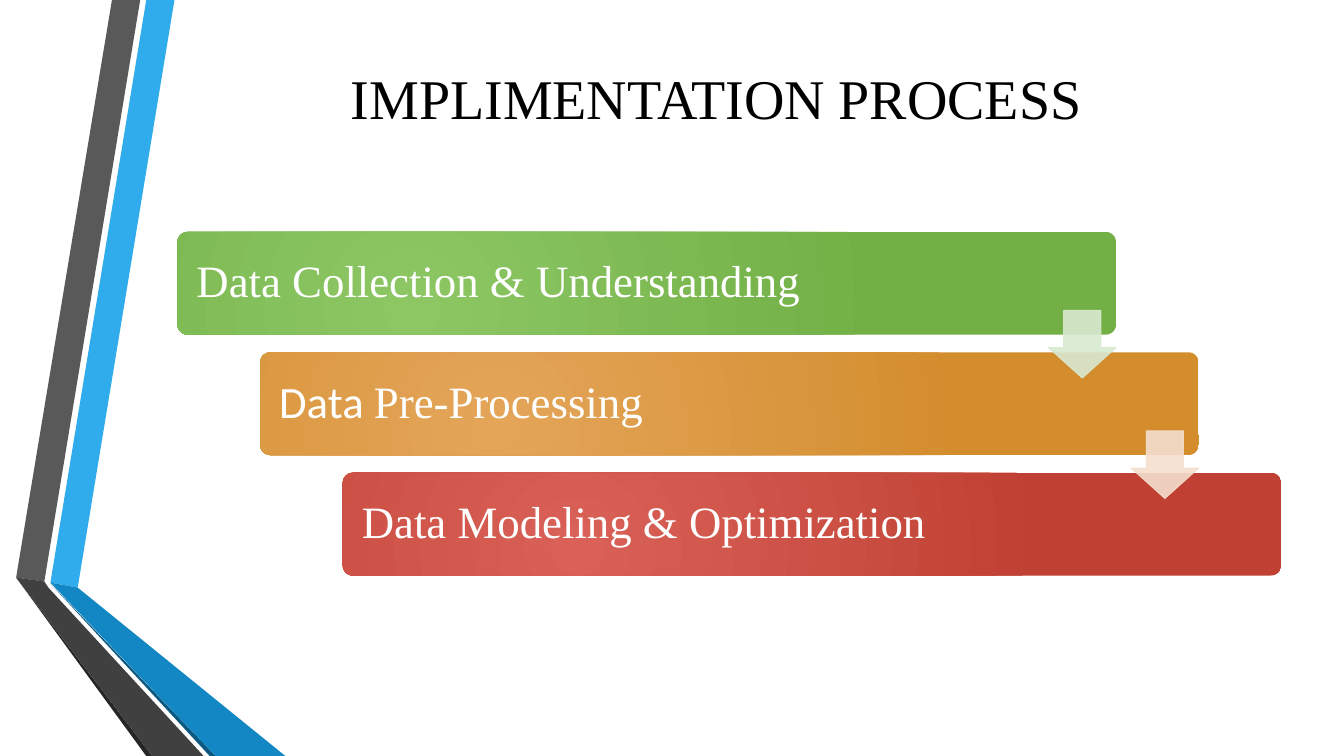
from typing import NamedTuple

from lxml import etree
from pptx import Presentation, util as u
from pptx.dml.color import RGBColor
from pptx.enum import shapes, text
from pptx.oxml.ns import qn

COLORS = {
    "black": "000000", "white": "FFFFFF",
    "blue": "30ACEC", "blue_fold": "1287C3", "blue_edge": "0C5A82",
    "grey": "595959", "grey_fold": "404040", "grey_edge": "262626",
    "green_light": "8CC764", "green": "72AF45", "green_pale": "D8E9D0",
    "orange_light": "E4A559", "orange": "D38D2D", "orange_pale": "F4DFCE",
    "red_light": "D96157", "red": "C04033",
}
SERIF, SANS = "Times New Roman", "Calibri"

# All lengths are percentages of the slide's width or height
BAR_LEFT, BAR_TOP, BAR_W, BAR_H = 13.2, 30.67, 69.84, 13.6
STEP_X, STEP_Y = 6.15, 15.93
ARROW_DX, ARROW_DY, ARROW_W, ARROW_H = 64.81, 10.4, 5.03, 8.93


class Ribbon(NamedTuple):
    color: str
    points: list[tuple[float, float]]


class Step(NamedTuple):
    runs: list[tuple[str, str]]
    inner: str
    outer: str
    arrow: str | None = None


RIBBONS = [
    Ribbon("blue", [(3.75, 77.07), (5.78, 77.73), (12.98, 0), (10.88, 0)]),
    Ribbon("grey", [(10.43, 0), (8.33, 0), (1.2, 76.4), (3.3, 76.93)]),
    Ribbon("grey_edge", [(1.2, 76.4), (10.88, 100), (11.33, 100)]),
    Ribbon("blue_edge", [(3.75, 77.2), (15.6, 100), (16.05, 100)]),
    Ribbon("blue_fold", [(3.75, 77.07), (16.05, 100), (21.23, 100), (5.78, 77.73)]),
    Ribbon("grey_fold", [(15.15, 100), (3.6, 77.73), (3.3, 76.93), (1.2, 76.4),
                         (11.33, 100)]),
]
STEPS = [
    Step([("Data Collection & Understanding", SERIF)],
         "green_light", "green", "green_pale"),
    Step([("Data ", SANS), ("Pre-Processing", SERIF)],
         "orange_light", "orange", "orange_pale"),
    Step([("Data Modeling & Optimization", SERIF)], "red_light", "red"),
]

prs = Presentation()
prs.slide_width, prs.slide_height = u.Inches(13.33), u.Inches(7.5)


def x(share: float) -> int:
    return round(prs.slide_width * share / 100)


def y(share: float) -> int:
    return round(prs.slide_height * share / 100)


def rgb(name: str) -> RGBColor:
    return RGBColor.from_string(COLORS[name])


def apply(obj, **formats) -> None:
    for name, value in formats.items():
        setattr(obj, name, value)


def add_run(p, words: str, font: str, size: int, color: str) -> None:
    r = p.add_run()
    r.text = words
    apply(r.font, name=font, size=u.Pt(size))
    r.font.color.rgb = rgb(color)


def add_ribbon(s, ribbon: Ribbon) -> None:
    points = [(x(px), y(py)) for px, py in ribbon.points]
    builder = s.shapes.build_freeform(*points[0])
    builder.add_line_segments(points[1:], close=True)
    sp = builder.convert_to_shape()
    sp.shadow.inherit = False
    sp.fill.solid()
    sp.fill.fore_color.rgb = rgb(ribbon.color)
    sp.line.fill.background()


def fill_radial(sp, inner: str, outer: str) -> None:
    sp.fill.gradient()
    for stop, position, color in zip(sp.fill.gradient_stops, (0, 1), (inner, outer)):
        stop.position = position
        stop.color.rgb = rgb(color)
    grad = sp.fill._xPr.find(qn("a:gradFill"))
    grad.remove(grad.find(qn("a:lin")))
    circle = etree.SubElement(grad, qn("a:path"), {"path": "circle"})
    etree.SubElement(circle, qn("a:fillToRect"),
                     {"l": "50000", "t": "100000", "r": "100000", "b": "50000"})


def add_bar(s, step: Step, index: int) -> None:
    sp = s.shapes.add_shape(
        shapes.MSO_SHAPE.ROUNDED_RECTANGLE,
        x(BAR_LEFT + index * STEP_X), y(BAR_TOP + index * STEP_Y), x(BAR_W), y(BAR_H))
    sp.shadow.inherit = False
    sp.adjustments[0] = 0.1
    fill_radial(sp, step.inner, step.outer)
    sp.line.fill.background()
    tf = sp.text_frame
    apply(tf, word_wrap=True, vertical_anchor=text.MSO_ANCHOR.MIDDLE,
          margin_left=u.Inches(0.16), margin_right=u.Inches(0.16))
    p = tf.paragraphs[0]
    apply(p, alignment=text.PP_ALIGN.LEFT, line_spacing=0.9)
    for words, font in step.runs:
        add_run(p, words, font, 32, "white")


def add_arrow(s, color: str, index: int) -> None:
    sp = s.shapes.add_shape(
        shapes.MSO_SHAPE.DOWN_ARROW,
        x(BAR_LEFT + ARROW_DX + index * STEP_X),
        y(BAR_TOP + ARROW_DY + index * STEP_Y), x(ARROW_W), y(ARROW_H))
    sp.shadow.inherit = False
    sp.adjustments[0], sp.adjustments[1] = 0.55, 0.45
    sp.line.width = u.Pt(0.75)
    for fill in (sp.fill, sp.line.fill):
        fill.solid()
        fill.fore_color.rgb = rgb(color)
    for clr in sp._element.spPr.iter(qn("a:srgbClr")):
        etree.SubElement(clr, qn("a:alpha"), {"val": "90000"})


def add_title(s, words: str) -> None:
    sp = s.shapes.title
    apply(sp, left=x(12.15), top=0, width=x(82.27), height=y(25.6))
    tf = sp.text_frame
    apply(tf, word_wrap=True, auto_size=text.MSO_AUTO_SIZE.NONE,
          vertical_anchor=text.MSO_ANCHOR.MIDDLE)
    p = tf.paragraphs[0]
    p.alignment = text.PP_ALIGN.CENTER
    add_run(p, words, SERIF, 40, "black")


def main() -> None:
    s = prs.slides.add_slide(prs.slide_layouts[5])
    # Folded ribbons on the left
    for ribbon in RIBBONS:
        add_ribbon(s, ribbon)
    add_title(s, "IMPLIMENTATION PROCESS")
    # Staggered steps, then the arrows over them
    for i, step in enumerate(STEPS):
        add_bar(s, step, i)
    for i, step in enumerate(STEPS):
        if step.arrow:
            add_arrow(s, step.arrow, i)
    prs.save("out.pptx")


if __name__ == "__main__":
    main()
